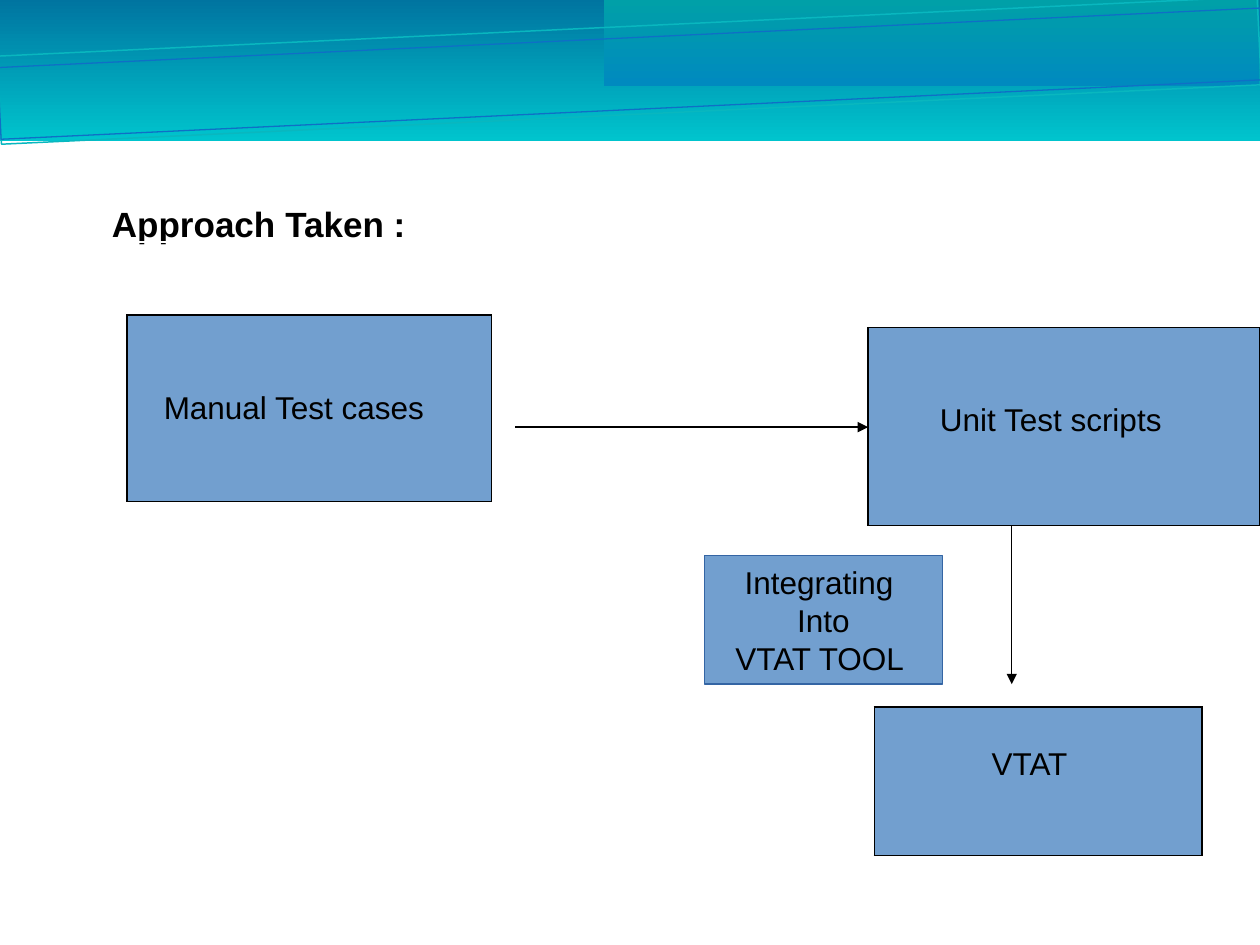
"""Builds the test approach slide: banner, heading and flow of test stages."""
from lxml.etree import SubElement
from pptx import Presentation
from pptx.dml.color import RGBColor
from pptx.enum.shapes import MSO_CONNECTOR, MSO_SHAPE
from pptx.enum.text import MSO_ANCHOR, PP_ALIGN
from pptx.oxml import parse_xml
from pptx.oxml.ns import nsdecls, qn
from pptx.util import Inches, Pt

BLACK = RGBColor(0x00, 0x00, 0x00)
WHITE = RGBColor(0xFF, 0xFF, 0xFF)
STAGE_FILL = RGBColor(0x72, 0x9F, 0xCF)
STAGE_LINE = RGBColor(0x34, 0x65, 0xA4)
BANNER_TOP = RGBColor(0x00, 0x74, 0xA0)
BANNER_BOTTOM = RGBColor(0x00, 0xC4, 0xCD)
PANEL_TOP = RGBColor(0x00, 0xA0, 0xA8)
PANEL_BOTTOM = RGBColor(0x00, 0x8A, 0xBF)
TEAL = RGBColor(0x09, 0xB7, 0xBF)
BLUE = RGBColor(0x0F, 0x6F, 0xC6)

BODY = {"name": "Arial", "size": Pt(18), "bold": False}
HEADING = {"name": "Arial", "size": Pt(20), "bold": True}


class SlideBuilder:
    """Holds the style and the current slide."""

    def __init__(self, slide):
        self.s = slide
        self.color = BLACK
        self.line_width = Pt(0.75)

    def add_text(self, p, text, style):
        r = p.add_run()
        r.text = text
        for name, value in style.items():
            setattr(r.font, name, value)
        r.font.color.rgb = self.color
        return r

    def rect(self, box):
        sp = self.s.shapes.add_shape(MSO_SHAPE.RECTANGLE, *map(Inches, box))
        sp.shadow.inherit = False
        return sp

    def gradient(self, box, top, bottom):
        sp = self.rect(box)
        sp.line.fill.background()
        sp.fill.gradient()
        sp.fill.gradient_angle = 270
        for stop, color, position in zip(sp.fill.gradient_stops, (top, bottom), (0, 1)):
            stop.color.rgb = color
            stop.position = position

    def tilted_frame(self, box, color, width):
        sp = self.rect(box)
        sp.rotation = 357.3
        sp.fill.background()
        sp.line.color.rgb = color
        sp.line.width = Pt(width)

    def heading(self, box, pieces):
        tf = self.s.shapes.add_textbox(*map(Inches, box)).text_frame
        tf.word_wrap = True
        for text, underline in pieces:
            r = self.add_text(tf.paragraphs[0], text, {**HEADING, "underline": underline})
            if underline:
                line_fill = parse_xml(
                    f'<a:uFill {nsdecls("a")}><a:solidFill>'
                    f'<a:srgbClr val="{WHITE}"/></a:solidFill></a:uFill>')
                r._r.rPr.find(qn("a:latin")).addprevious(line_fill)

    def stage_table(self, box, text, indent, drop):
        table = self.s.shapes.add_table(1, 1, *map(Inches, box)).table
        table.first_row = table.horz_banding = False
        cell = table.cell(0, 0)
        margins = {"margin_left": Inches(indent), "margin_top": Inches(drop),
                   "margin_right": Inches(0.1), "margin_bottom": Inches(0.05)}
        for name, value in margins.items():
            setattr(cell, name, value)
        tc_pr = cell._tc.get_or_add_tcPr()
        for side in ("lnL", "lnR", "lnT", "lnB"):
            ln = SubElement(tc_pr, qn(f"a:{side}"), w=str(int(Pt(1))))
            fill = SubElement(ln, qn("a:solidFill"))
            SubElement(fill, qn("a:srgbClr"), val=str(self.color))
        cell.fill.solid()
        cell.fill.fore_color.rgb = STAGE_FILL
        self.add_text(cell.text_frame.paragraphs[0], text, BODY)

    def arrow(self, *ends):
        line = self.s.shapes.add_connector(MSO_CONNECTOR.STRAIGHT, *map(Inches, ends))
        line.line.color.rgb = self.color
        line.line.width = self.line_width
        SubElement(line.line._get_or_add_ln(), qn("a:tailEnd"), type="triangle")
        SubElement(line._element.spPr, qn("a:effectLst"))

    def stage_box(self, box, lines):
        sp = self.rect(box)
        sp.fill.solid()
        sp.fill.fore_color.rgb = STAGE_FILL
        sp.line.color.rgb = STAGE_LINE
        sp.line.width = self.line_width
        tf = sp.text_frame
        tf.word_wrap = False
        tf.vertical_anchor = MSO_ANCHOR.MIDDLE
        for i, text in enumerate(lines):
            p = tf.add_paragraph() if i else tf.paragraphs[0]
            p.alignment = PP_ALIGN.CENTER
            self.add_text(p, text, BODY)


def main():
    prs = Presentation()
    prs.slide_width, prs.slide_height = Inches(10), Inches(7.5)
    b = SlideBuilder(prs.slides.add_slide(prs.slide_layouts[6]))

    b.gradient((-0.01, -0.01, 10.01, 1.13), BANNER_TOP, BANNER_BOTTOM)
    b.gradient((4.79, -0.01, 5.2, 0.69), PANEL_TOP, PANEL_BOTTOM)
    b.tilted_frame((-0.01, 0.21, 10.01, 0.7), TEAL, 0.85)
    b.tilted_frame((-0.01, 0.3, 10.03, 0.57), BLUE, 0.75)

    b.heading((0.79, 1.56, 8.9, 5.76),
              [("Approach", True), (" ", False), ("Taken :", True)])
    b.stage_table((1.01, 2.5, 2.89, 1.48), "Manual Test cases", 0.29, 0.6)
    b.arrow(4.09, 3.39, 6.89, 3.39)
    b.stage_table((6.89, 2.6, 3.11, 1.57), "Unit Test scripts", 0.57, 0.6)
    b.arrow(8.03, 4.17, 8.03, 5.43)
    b.stage_table((6.94, 5.61, 2.6, 1.18), "VTAT", 0.93, 0.32)
    b.stage_box((5.59, 4.41, 1.89, 1.02), ["Integrating ", "Into", "VTAT TOOL "])

    prs.save("out.pptx")


if __name__ == "__main__":
    main()
